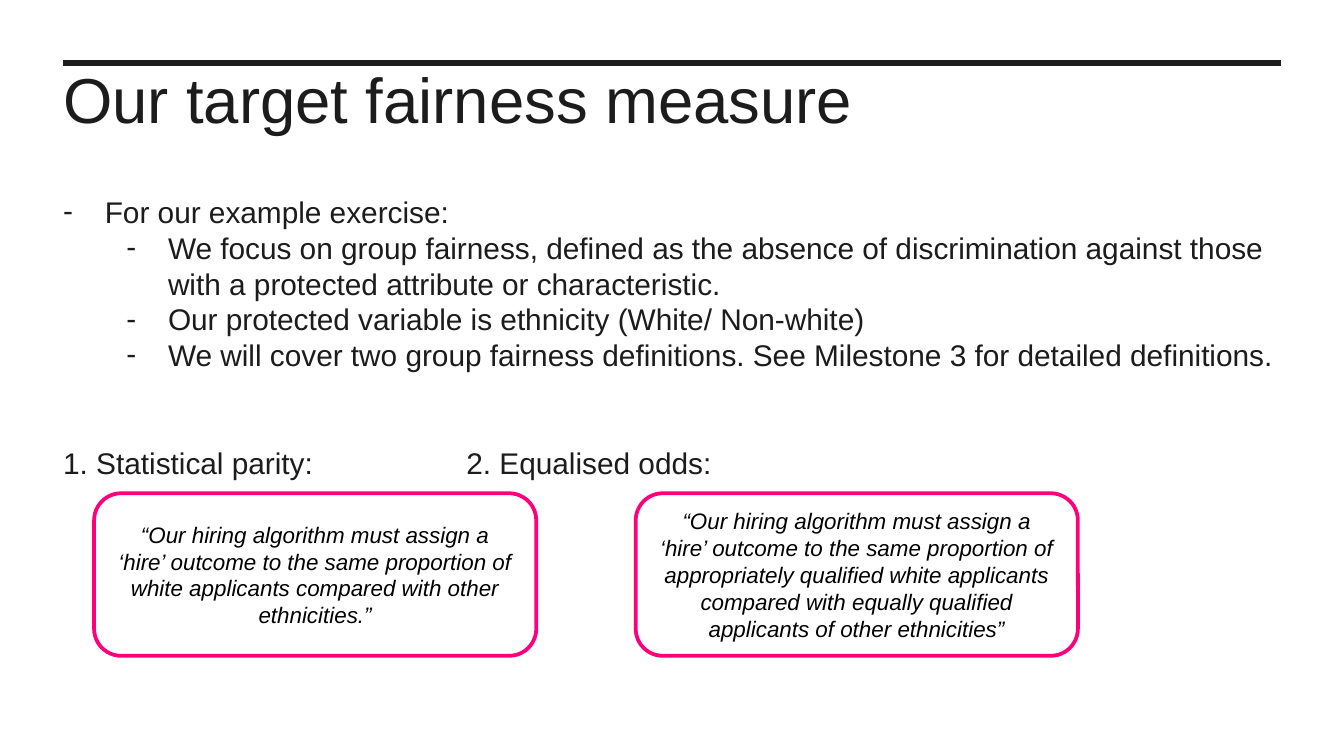
"""Build the slide on the target fairness measure."""
from lxml import etree
from pptx import Presentation, util as u
from pptx.dml.color import RGBColor
from pptx.enum import shapes, text
from pptx.oxml.ns import qn


def rgb(value):
    return RGBColor.from_string(value)


def add_run(p, words, size, color, italic=False):
    r = p.add_run()
    r.text = words
    r.font.name = "Arial"
    r.font.size = u.Pt(size)
    r.font.italic = italic
    r.font.color.rgb = rgb(color)


INK, PINK = "1C1C1C", "FF007D"

prs = Presentation()
prs.slide_width = u.Inches(10)
prs.slide_height = u.Inches(10 * 9 / 16)
s = prs.slides.add_slide(prs.slide_layouts[1])
title, body = s.shapes.title, s.placeholders[1]

rule = s.shapes.add_connector(shapes.MSO_CONNECTOR.STRAIGHT, u.Inches(0.47), u.Inches(0.47),
                              u.Inches(9.53), u.Inches(0.47))
rule.line.color.rgb = rgb(INK)
rule.line.width = u.Pt(3)
etree.SubElement(rule._element.spPr, qn("a:effectLst"))

for sp, top, width, height in [(title, 0.45, 9.06, 0.77), (body, 1.44, 9.22, 3.17)]:
    sp.left, sp.top = u.Inches(0.47), u.Inches(top)
    sp.width, sp.height = u.Inches(width), u.Inches(height)
    tf = sp.text_frame
    tf.margin_left = tf.margin_top = tf.margin_right = tf.margin_bottom = 0
    tf.vertical_anchor = text.MSO_ANCHOR.TOP
    tf.auto_size = text.MSO_AUTO_SIZE.NONE
    tf.word_wrap = True

p = title.text_frame.paragraphs[0]
p.alignment = text.PP_ALIGN.LEFT
add_run(p, "Our target fairness measure", 34, INK)

items = [
    (0, "-", 0.31, "For our example exercise:"),
    (1, "-", 0.78, "We focus on group fairness, defined as the absence of discrimination "
                   "against those with a protected attribute or characteristic."),
    (1, "-", 0.78, "Our protected variable is ethnicity (White/ Non-white)"),
    (1, "-", 0.78, "We will cover two group fairness definitions. "
                   "See Milestone 3 for detailed definitions."),
    (0, None, 0, "1. Statistical parity: \t\t\t2. Equalised odds:"),
]
tf = body.text_frame
for i, (level, bullet, margin, words) in enumerate(items):
    p = tf.add_paragraph() if i else tf.paragraphs[0]
    p.level = level
    p.space_before = u.Pt(0 if bullet else 38.6)
    pPr = p._p.get_or_add_pPr()
    pPr.set("marL", str(u.Inches(margin)))
    pPr.set("indent", str(u.Inches(-0.31 if bullet else 0)))
    if bullet:
        etree.SubElement(pPr, qn("a:buChar"), char=bullet)
    else:
        etree.SubElement(pPr, qn("a:buNone"))
    add_run(p, words, 16, INK)

quotes = [
    (0.7, "“Our hiring algorithm must assign a ‘hire’ outcome to the same proportion of "
          "white applicants compared with other ethnicities.”"),
    (4.73, "“Our hiring algorithm must assign a ‘hire’ outcome to the same proportion of "
           "appropriately qualified white applicants compared with equally qualified "
           "applicants of other ethnicities”"),
]
for left, words in quotes:
    sp = s.shapes.add_shape(shapes.MSO_SHAPE.ROUNDED_RECTANGLE, u.Inches(left), u.Inches(3.67),
                            u.Inches(3.29), u.Inches(1.21))
    sp.shadow.inherit = False
    sp.fill.solid()
    sp.fill.fore_color.rgb = rgb("FFFFFF")
    sp.line.color.rgb = rgb(PINK)
    sp.line.width = u.Pt(2)
    tf = sp.text_frame
    tf.word_wrap = True
    tf.vertical_anchor = text.MSO_ANCHOR.MIDDLE
    p = tf.paragraphs[0]
    p.alignment = text.PP_ALIGN.CENTER
    add_run(p, words, 12, "000000", italic=True)

prs.save("out.pptx")
